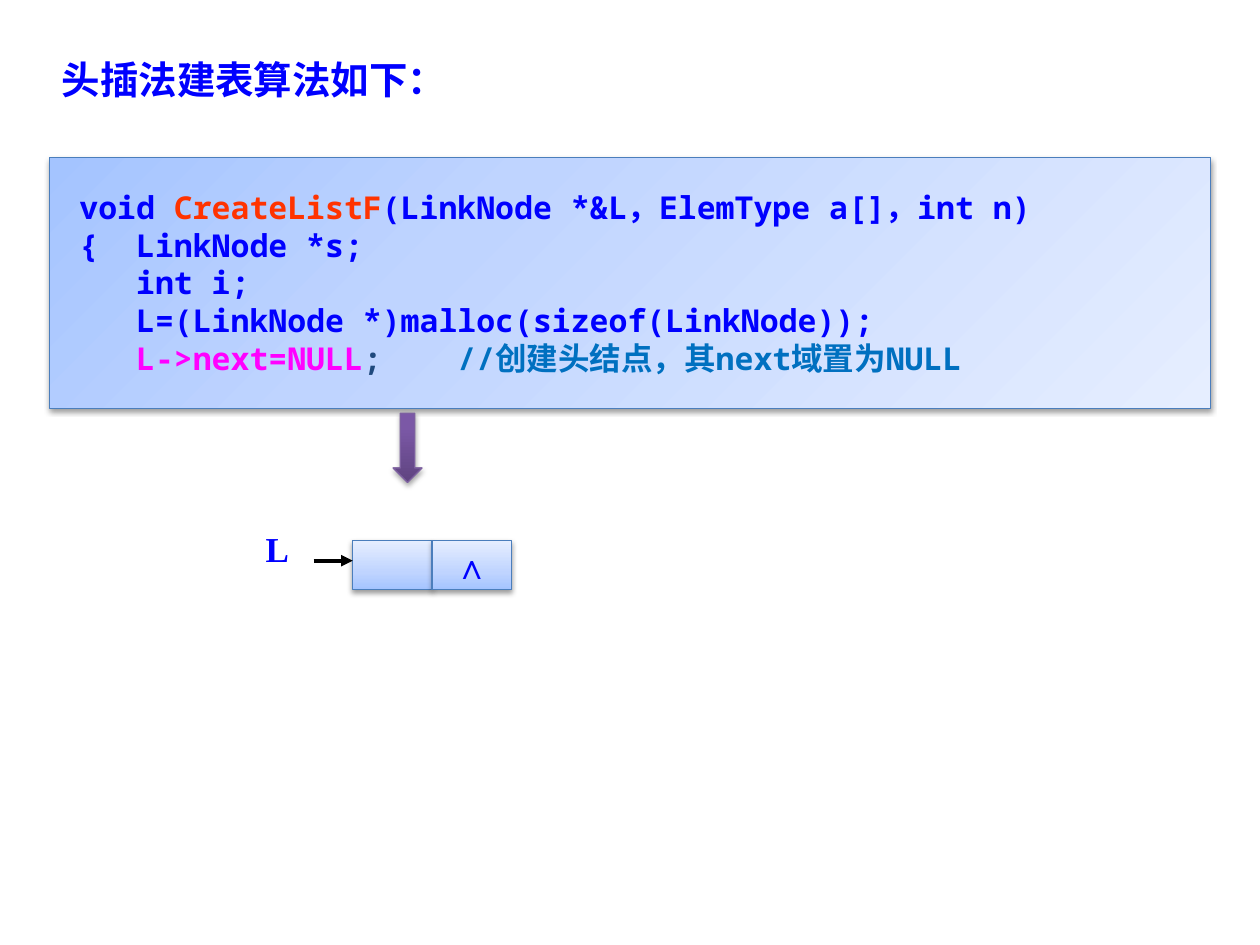
from dataclasses import dataclass

from pptx import Presentation
from pptx.dml.color import RGBColor
from pptx.enum.shapes import MSO_CONNECTOR as CONN, MSO_SHAPE as SHAPE
from pptx.enum.text import MSO_ANCHOR as ANCHOR, MSO_AUTO_SIZE as FIT, PP_ALIGN as ALIGN
from pptx.oxml import parse_xml
from pptx.oxml.ns import nsdecls
from pptx.util import Inches, Pt


@dataclass(frozen=True)
class Theme:
    blue: str = "0000FF"
    red: str = "FF3300"
    navy: str = "1F497D"
    magenta: str = "FF00FF"
    comment: str = "0070C0"
    black: str = "000000"
    panel_line: str = "4B7EBC"
    arrow_line: str = "7D60A0"
    panel_stops: tuple = ((0, "A4C4FF"), (35, "BFD4FF"), (100, "E6EEFF"))
    arrow_stops: tuple = ((0, "5F4480"), (80, "7B58A6"), (100, "7C57A8"))
    upward: str = '<a:lin ang="16200000" scaled="0"/>'
    from_corner: str = '<a:path path="circle"><a:fillToRect r="100000" b="100000"/></a:path>'
    cjk: str = "Noto Sans CJK SC"
    mono: str = "Noto Sans Mono"
    serif: str = "Times New Roman"
    title_size: int = 22
    node_size: int = 20
    code_size: int = 18


T = Theme()

CODE = [
    [("void ", T.blue), ("CreateListF", T.red),
     ("(LinkNode *&L，ElemType a[]，int n)", T.blue)],
    [("{  LinkNode *s;", T.blue)],
    [("   int i;", T.blue)],
    [("   L=(LinkNode *)malloc(sizeof(LinkNode));", T.blue)],
    [("   ", T.navy), ("L->next=NULL", T.magenta), (";\t\t", T.navy),
     ("//创建头结点，其next域置为NULL", T.comment)],
]


def part(box, x, y, w, h):
    """Box inside another one, given in percent of its sides."""
    left, top, width, height = box
    return (int(left + width * x / 100), int(top + height * y / 100),
            int(width * w / 100), int(height * h / 100))


def add_run(p, text, font, size, color):
    r = p.add_run()
    r.text = text
    for name, value in {"name": font, "size": Pt(size), "bold": True}.items():
        setattr(r.font, name, value)
    r.font.color.rgb = RGBColor.from_string(color)
    r.font._element.append(parse_xml(f'<a:ea {nsdecls("a")} typeface="{T.cjk}"/>'))


def set_frame(tf, **values):
    for name, value in values.items():
        setattr(tf, name, value)


def add_panel(slide, box, kind, stops, direction, line, shadow=38):
    """Shape with a gradient, a thin outline and a soft shadow below."""
    sp = slide.shapes.add_shape(kind, *box)
    marks = "".join(f'<a:gs pos="{pos * 1000}"><a:srgbClr val="{color}"/></a:gs>'
                    for pos, color in stops)
    sp._element.spPr.append(parse_xml(
        f'<a:gradFill {nsdecls("a")} rotWithShape="1"><a:gsLst>{marks}</a:gsLst>'
        f'{direction}</a:gradFill>'))
    sp.line.color.rgb = RGBColor.from_string(line)
    sp.line.width = Pt(0.75)
    sp.shadow.inherit = False
    sp._element.spPr.effectLst.append(parse_xml(
        f'<a:outerShdw {nsdecls("a")} blurRad="{Pt(3.1)}" dist="{Pt(1.6)}" dir="5400000" '
        f'rotWithShape="0"><a:srgbClr val="{T.black}"><a:alpha val="{shadow * 1000}"/>'
        '</a:srgbClr></a:outerShdw>'))
    return sp


def add_title(slide, box):
    sp = slide.shapes.title
    sp.left, sp.top, sp.width, sp.height = box
    tf = sp.text_frame
    set_frame(tf, word_wrap=True, auto_size=FIT.NONE, vertical_anchor=ANCHOR.MIDDLE)
    p = tf.paragraphs[0]
    p.alignment = ALIGN.LEFT
    add_run(p, "头插法建表算法如下：", T.cjk, T.title_size, T.blue)


def add_code(slide, box):
    sp = add_panel(slide, box, SHAPE.RECTANGLE, T.panel_stops, T.from_corner, T.panel_line)
    tf = sp.text_frame
    inset = Inches(0.24)
    set_frame(tf, word_wrap=True, vertical_anchor=ANCHOR.TOP, margin_left=inset,
              margin_top=inset, margin_bottom=inset, margin_right=Inches(0.16))
    for i, line in enumerate(CODE):
        p = tf.add_paragraph() if i else tf.paragraphs[0]
        p.alignment = ALIGN.LEFT
        for text, color in line:
            add_run(p, text, T.mono, T.code_size, color)


def add_head_node(slide, box):
    # Data and pointer cells
    cell_w, first = 30.73, 38.54
    for i, text in enumerate(("", "∧")):
        sp = add_panel(slide, part(box, first + i * cell_w, 27.78, cell_w, 72.22),
                       SHAPE.RECTANGLE, T.panel_stops, T.upward, T.panel_line)
        if text:
            set_frame(sp.text_frame, word_wrap=False, vertical_anchor=ANCHOR.MIDDLE)
            p = sp.text_frame.paragraphs[0]
            p.alignment = ALIGN.CENTER
            add_run(p, text, T.serif, T.node_size, T.blue)

    # Pointer into the node
    x, y, w, _ = part(box, 23.41, 57.41, first - 23.41, 0)
    ln = slide.shapes.add_connector(CONN.STRAIGHT, x, y, x + w, y)
    ln.line.color.rgb = RGBColor.from_string(T.black)
    ln.line.width = Pt(2.25)
    ln.line._get_or_add_ln().append(parse_xml(f'<a:tailEnd {nsdecls("a")} type="triangle"/>'))
    ln._element.spPr.append(parse_xml(f'<a:effectLst {nsdecls("a")}/>'))

    # Pointer name
    tf = slide.shapes.add_textbox(*part(box, 0, 0, 26.83, 79.63)).text_frame
    tf.word_wrap = True
    add_run(tf.paragraphs[0], "L", T.serif, T.node_size, T.blue)


def main():
    prs = Presentation()
    prs.slide_width, prs.slide_height = Inches(10), Inches(7.5)
    slide = prs.slides.add_slide(prs.slide_layouts[5])
    page = (0, 0, prs.slide_width, prs.slide_height)

    add_title(slide, part(page, 3.9, 5.2, 56.3, 6.27))
    add_code(slide, part(page, 3.9, 16.67, 92.2, 26.53))
    add_head_node(slide, part(page, 20.1, 55.2, 20.5, 7.2))
    # Step from the code to its result
    add_panel(slide, part(page, 31.2, 43.73, 2.3, 7.33), SHAPE.DOWN_ARROW,
              T.arrow_stops, T.upward, T.arrow_line, shadow=35)
    prs.save("out.pptx")


if __name__ == "__main__":
    main()
